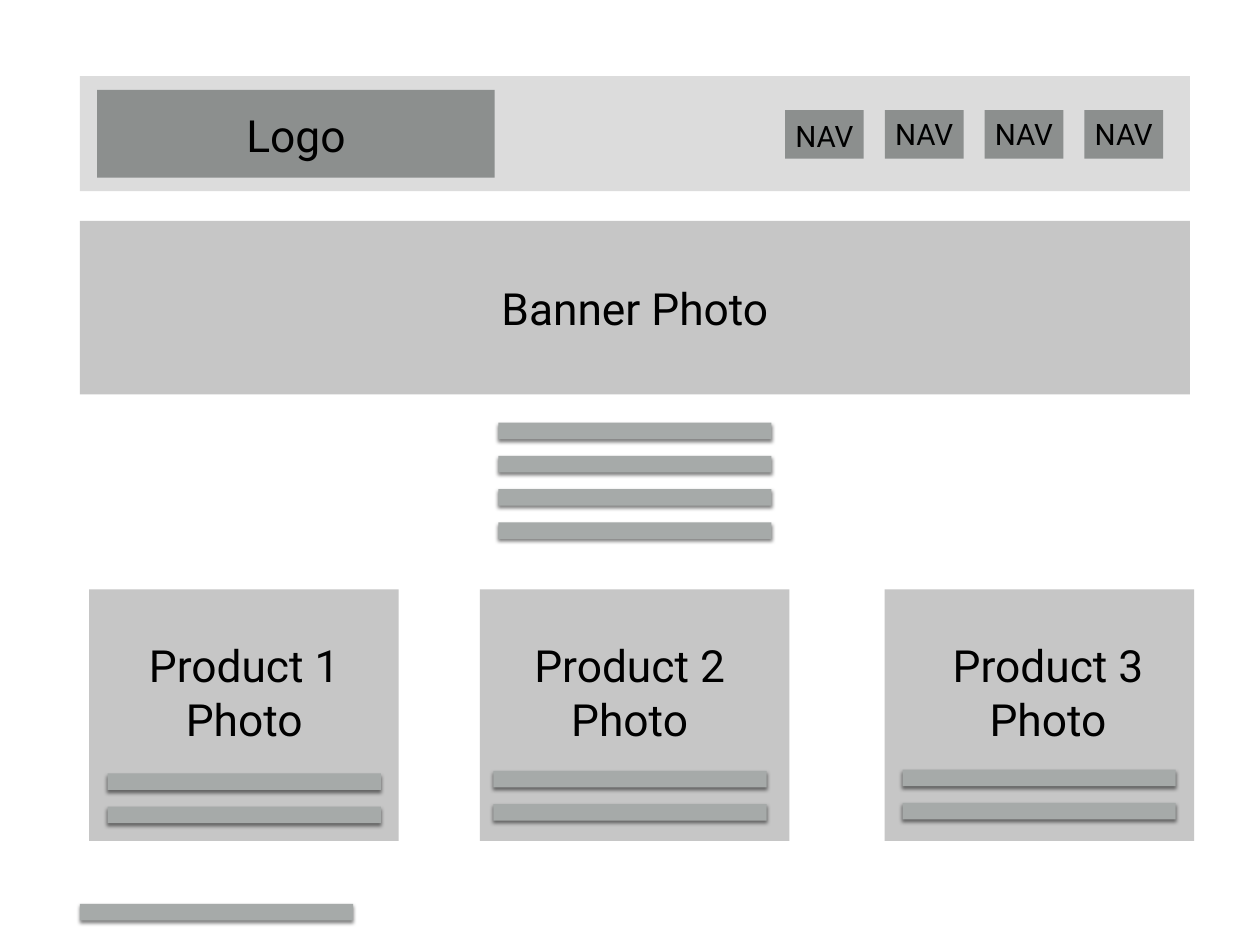
from collections import namedtuple

from lxml import etree
from pptx import Presentation
from pptx import util as u
from pptx.dml.color import RGBColor
from pptx.enum import shapes, text
from pptx.oxml import ns

COLORS = {
    "header": "DCDCDC",
    "control": "8C8F8E",
    "photo": "C6C6C6",
    "copy_line": "A6AAA9",
    "label": "000000",
    "shadow": "000000",
}
FONT = "Roboto"
LINE_WIDTH, LINE_HEIGHT, LINE_PITCH = 222, 13.5, 27
Box = namedtuple("Box", "left top width height")


def add_block(slide, box, color):
    shape = slide.shapes.add_shape(
        shapes.MSO_SHAPE.RECTANGLE, *(u.Pt(length) for length in box))
    shape.shadow.inherit = False
    shape.fill.solid()
    shape.fill.fore_color.rgb = RGBColor.from_string(COLORS[color])
    shape.line.fill.background()
    return shape


def add_label(slide, box, wording, size, shift_x=0, shift_y=0):
    """Center a text box on the given box, moved by the two shifts."""
    label = slide.shapes.add_textbox(
        u.Pt(box.left + shift_x), u.Pt(box.top + shift_y),
        u.Pt(box.width), u.Pt(box.height))
    frame = label.text_frame
    frame.margin_left = frame.margin_right = u.Pt(4)
    frame.margin_top = frame.margin_bottom = u.Pt(4)
    frame.word_wrap = True
    frame.vertical_anchor = text.MSO_ANCHOR.MIDDLE
    frame.text = wording
    for paragraph in frame.paragraphs:
        paragraph.alignment = text.PP_ALIGN.CENTER
        for run in paragraph.runs:
            run.font.name = FONT
            run.font.size = u.Pt(size)
            run.font.color.rgb = RGBColor.from_string(COLORS["label"])


def add_soft_shadow(shape):
    effects = shape._element.spPr.find(ns.qn("a:effectLst"))
    shadow = etree.SubElement(
        effects, ns.qn("a:outerShdw"), blurRad=str(u.Pt(3)),
        dist=str(u.Pt(2)), dir="5400000", algn="ctr", rotWithShape="0")
    color = etree.SubElement(shadow, ns.qn("a:srgbClr"), val=COLORS["shadow"])
    etree.SubElement(color, ns.qn("a:alpha"), val="50000")


def add_copy_lines(slide, left, top, count):
    """Stack bars that stand for lines of body copy."""
    for index in range(count):
        box = Box(left, top + index * LINE_PITCH, LINE_WIDTH, LINE_HEIGHT)
        add_soft_shadow(add_block(slide, box, "copy_line"))


def add_header(slide, box):
    add_block(slide, box, "header")
    logo = Box(box.left + 14, box.top + 11, 323, 71.5)
    add_block(slide, logo, "control")
    add_label(slide, logo, "Logo", 36, shift_y=0.7)
    for index in range(4):
        button = Box(box.left + 573 + index * 81.1, box.top + 27.4, 64, 39.5)
        add_block(slide, button, "control")
        add_label(slide, button, "NAV", 24, shift_y=0.7 if index == 0 else -0.7)


def add_banner(slide, box):
    add_block(slide, box, "photo")
    add_label(slide, box, "Banner Photo", 36)


def add_product(slide, box, number, label_shift, copy_left, copy_top):
    add_block(slide, box, "photo")
    add_label(slide, box, f"Product {number}\nPhoto", 36, label_shift, -19)
    add_copy_lines(slide, box.left + copy_left, box.top + copy_top, 2)


def main():
    presentation = Presentation()
    presentation.slide_width = u.Pt(1024)
    presentation.slide_height = u.Pt(768)
    slide = presentation.slides.add_slide(presentation.slide_layouts[6])

    add_header(slide, Box(65, 62, 902, 93.5))
    add_banner(slide, Box(65, 179.5, 902, 141))
    add_copy_lines(slide, 405, 343.5, 4)
    products = [
        (72.5, 0.3, 15, 149.5),
        (390, -4, 11, 147.5),
        (719, 7, 14.5, 146.5),
    ]
    for number, (left, *offsets) in enumerate(products, start=1):
        add_product(slide, Box(left, 479, 251.5, 204.5), number, *offsets)
    add_copy_lines(slide, 65, 734.5, 1)

    presentation.save("out.pptx")


if __name__ == "__main__":
    main()
